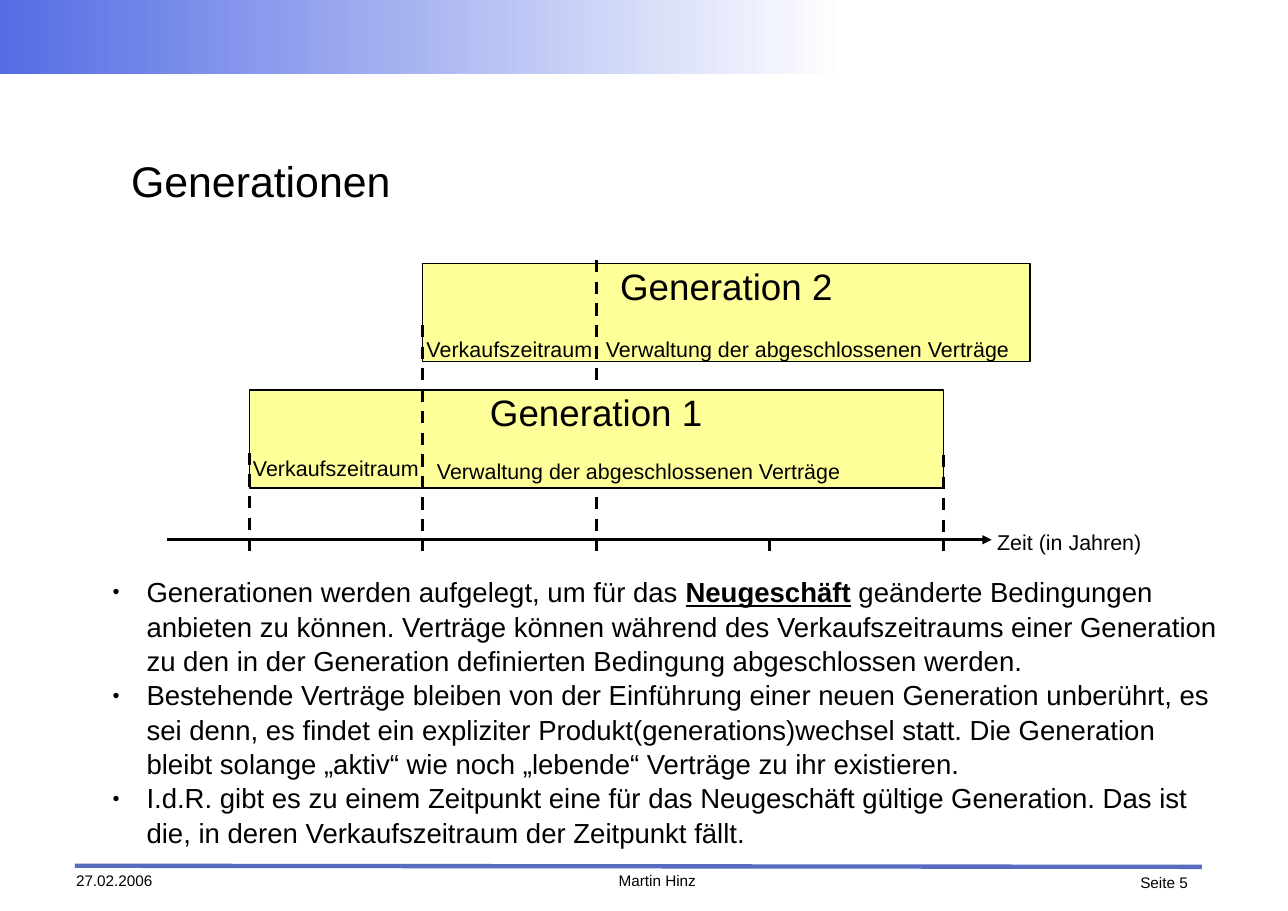
from dataclasses import dataclass

from lxml import etree
from pptx import Presentation
from pptx.dml.color import RGBColor
from pptx.enum.dml import MSO_LINE
from pptx.enum.shapes import MSO_CONNECTOR, MSO_SHAPE
from pptx.enum.text import MSO_ANCHOR, MSO_AUTO_SIZE, PP_ALIGN
from pptx.oxml.ns import qn
from pptx.util import Pt

LEFT, CENTER, RIGHT = PP_ALIGN.LEFT, PP_ALIGN.CENTER, PP_ALIGN.RIGHT
TOP, MIDDLE = MSO_ANCHOR.TOP, MSO_ANCHOR.MIDDLE
RECTANGLE, STRAIGHT = MSO_SHAPE.RECTANGLE, MSO_CONNECTOR.STRAIGHT
DASH, NO_AUTOFIT = MSO_LINE.DASH, MSO_AUTO_SIZE.NONE

TITLE = "Generationen"
SALES = "Verkaufszeitraum"
ADMINISTRATION = "Verwaltung der abgeschlossenen Verträge"
AXIS_LABEL = "Zeit (in Jahren)"
GENERATION_2 = dict(name="Generation 2", start=1, end=4.5, top=172.1,
                    sales_top=219.6, admin_top=219.6, admin_gap=0)
GENERATION_1 = dict(name="Generation 1", start=0, end=4, top=254.9,
                    sales_top=297.4, admin_top=299.5, admin_gap=3)
BACK_GUIDES = [(2, 170)]
FRONT_GUIDES = [(0, 296), (1, 212.4), (4, 297.4)]
POINTS = [
    [("Generationen werden aufgelegt, um für das ", False),
     ("Neugeschäft", True),
     (" geänderte Bedingungen anbieten zu können. Verträge können während des "
      "Verkaufszeitraums einer Generation zu den in der Generation definierten "
      "Bedingung abgeschlossen werden.", False)],
    [("Bestehende Verträge bleiben von der Einführung einer neuen Generation "
      "unberührt, es sei denn, es findet ein expliziter "
      "Produkt(generations)wechsel statt. Die Generation bleibt solange „aktiv“ "
      "wie noch „lebende“ Verträge zu ihr existieren.", False)],
    [("I.d.R. gibt es zu einem Zeitpunkt eine für das Neugeschäft gültige "
      "Generation. Das ist die, in deren Verkaufszeitraum der Zeitpunkt fällt.",
      False)],
]
FOOTERS = [("27.02.2006", 49.7, 569.5, 84, LEFT),
           ("Martin Hinz", 371.5, 569.5, 116, CENTER),
           ("Seite 5", 720, 571, 56.2, RIGHT)]


@dataclass(frozen=True)
class Theme:
    font: str = "Arial"
    ink: RGBColor = RGBColor(0, 0, 0)
    white: RGBColor = RGBColor(255, 255, 255)
    band: RGBColor = RGBColor(0x55, 0x6D, 0xE4)
    rule: RGBColor = RGBColor(0x57, 0x6B, 0xBF)
    box: RGBColor = RGBColor(0xFF, 0xFF, 0x99)
    title: int = 28
    generation: int = 24
    body: int = 18
    label: int = 14
    footer: int = 10


THEME = Theme()
YEAR_0, YEAR_WIDTH, YEAR_COUNT = 162.8, 113.4, 5
AXIS_Y, TICK, BOX_HEIGHT, ADMIN_WIDTH = 352.8, 7.2, 64.1, 276.5

prs = Presentation()
prs.slide_width, prs.slide_height = Pt(841.68), Pt(595.44)
slide = prs.slides.add_slide(prs.slide_layouts[5])
shapes = slide.shapes


def year_x(year):
    return YEAR_0 + year * YEAR_WIDTH


def style_run(run, size):
    run.font.name = THEME.font
    run.font.size = Pt(size)
    run.font.color.rgb = THEME.ink


def prepare_frame(frame, anchor=TOP):
    frame.word_wrap = True
    frame.auto_size = NO_AUTOFIT
    frame.vertical_anchor = anchor
    frame.margin_left = frame.margin_right = 0
    frame.margin_top = frame.margin_bottom = 0


def write(frame, words, size, align=LEFT, anchor=TOP):
    prepare_frame(frame, anchor)
    frame.text = words
    paragraph = frame.paragraphs[0]
    paragraph.alignment = align
    style_run(paragraph.runs[0], size)


def add_label(words, x, y, width, size, align=LEFT):
    label = shapes.add_textbox(Pt(x), Pt(y), Pt(width), Pt(size * 1.15))
    write(label.text_frame, words, size, align)


def add_rectangle(x, y, width, height):
    rectangle = shapes.add_shape(RECTANGLE, Pt(x), Pt(y), Pt(width), Pt(height))
    rectangle.shadow.inherit = False
    return rectangle


def add_line(x1, y1, x2, y2, color=THEME.ink, width=0, dash=None, arrow=False):
    connector = shapes.add_connector(STRAIGHT, Pt(x1), Pt(y1), Pt(x2), Pt(y2))
    connector.line.color.rgb = color
    connector.line.width = Pt(width)
    if dash:
        connector.line.dash_style = dash
    properties = connector._element.spPr
    if arrow:
        etree.SubElement(properties.find(qn("a:ln")), qn("a:tailEnd"), type="triangle")
    etree.SubElement(properties, qn("a:effectLst"))


def add_guides(guides):
    for year, top in guides:
        add_line(year_x(year), top, year_x(year), AXIS_Y, dash=DASH)


def add_generation(name, start, end, top, **_):
    box = add_rectangle(year_x(start), top, (end - start) * YEAR_WIDTH, BOX_HEIGHT)
    box.fill.solid()
    box.fill.fore_color.rgb = THEME.box
    box.line.color.rgb = THEME.ink
    box.line.width = Pt(0)
    write(box.text_frame, name, THEME.generation, CENTER)


def add_phases(start, sales_top, admin_top, admin_gap, **_):
    add_label(SALES, year_x(start), sales_top, YEAR_WIDTH, THEME.label, CENTER)
    add_label(ADMINISTRATION, year_x(start + 1) + admin_gap, admin_top,
              ADMIN_WIDTH, THEME.label, CENTER)


def add_bullet(paragraph):
    properties = paragraph._p.get_or_add_pPr()
    properties.set("marL", str(Pt(67.7)))
    properties.set("indent", str(Pt(-22.3)))
    color = etree.SubElement(properties, qn("a:buClr"))
    etree.SubElement(color, qn("a:srgbClr"), val=str(THEME.ink))
    etree.SubElement(properties, qn("a:buSzPct"), val="45000")
    etree.SubElement(properties, qn("a:buFont"), typeface=THEME.font)
    etree.SubElement(properties, qn("a:buChar"), char="●")


def add_points():
    frame = shapes.add_textbox(Pt(28.1), Pt(375.1), Pt(772.6), Pt(180)).text_frame
    prepare_frame(frame)
    for index, parts in enumerate(POINTS):
        paragraph = frame.add_paragraph() if index else frame.paragraphs[0]
        paragraph.level = 1
        paragraph.line_spacing = 1.04
        add_bullet(paragraph)
        for words, emphasis in parts:
            run = paragraph.add_run()
            run.text = words
            style_run(run, THEME.body)
            run.font.bold = run.font.underline = emphasis


title = shapes.title
title.left, title.top, title.width, title.height = Pt(85.7), Pt(68.4), Pt(670.3), Pt(98.6)
write(title.text_frame, TITLE, THEME.title, anchor=MIDDLE)

band = add_rectangle(0, 0, 552.2, 48.2)
band.line.fill.background()
band.fill.gradient()
band.fill.gradient_angle = 0
for stop, color in zip(band.fill.gradient_stops, (THEME.band, THEME.white)):
    stop.color.rgb = color

add_line(49, 565.9, 785.5, 566.6, THEME.rule, 2.83)
for words, x, y, width, align in FOOTERS:
    add_label(words, x, y, width, THEME.footer, align)

add_generation(**GENERATION_2)
add_guides(BACK_GUIDES)
add_generation(**GENERATION_1)
add_guides(FRONT_GUIDES)
for generation in (GENERATION_2, GENERATION_1):
    add_phases(**generation)

add_line(109.4, AXIS_Y, 648, AXIS_Y, arrow=True)
for year in range(YEAR_COUNT):
    add_line(year_x(year), AXIS_Y, year_x(year), AXIS_Y + TICK)
add_label(AXIS_LABEL, 651.6, 345.6, 99.4, THEME.label)
add_points()

prs.save("out.pptx")
